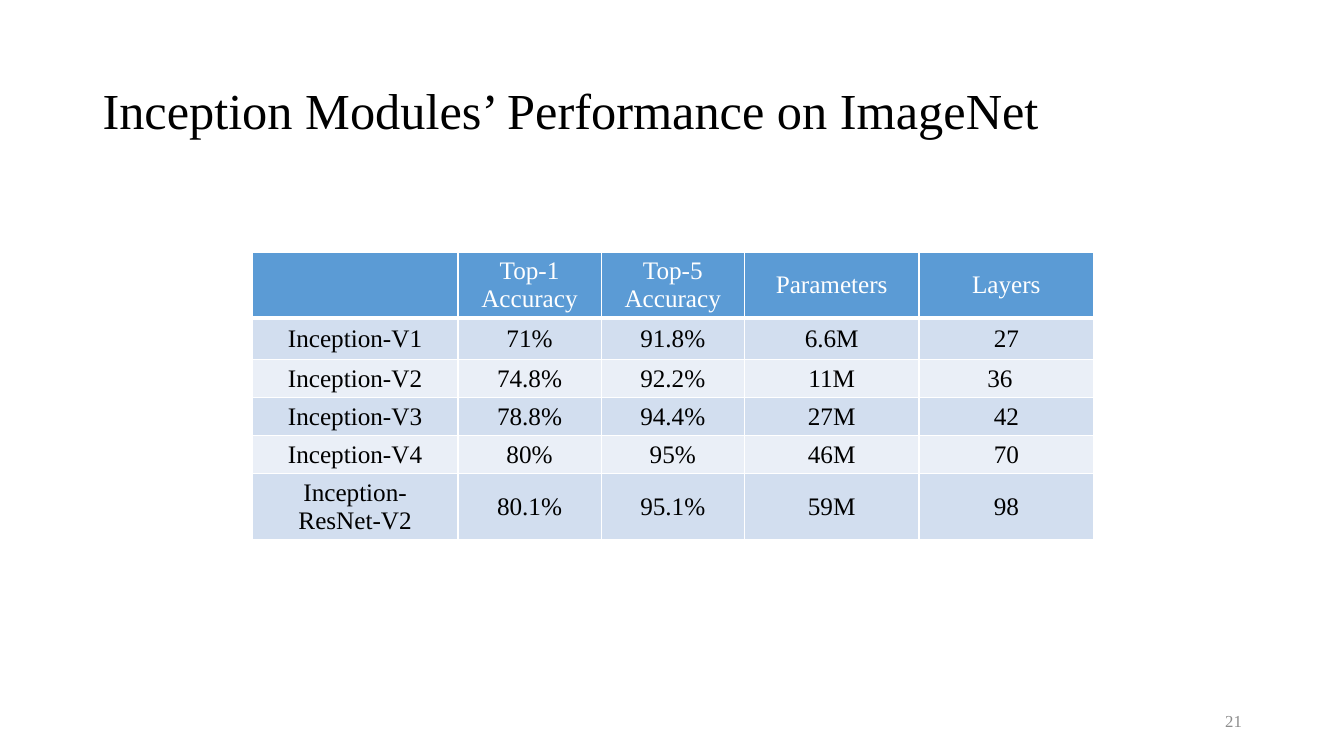
from dataclasses import dataclass

from lxml import etree
from pptx import Presentation
from pptx import util as u
from pptx.dml import color
from pptx.enum import text
from pptx.oxml import ns


@dataclass(frozen=True)
class Theme:
    font: str = "Times New Roman"
    ink: str = "000000"
    paper: str = "FFFFFF"
    muted: str = "8C8C8C"
    header: str = "5B9BD5"
    bands: tuple[str, str] = ("D2DEEF", "EAEFF7")
    title_size: int = 36
    table_size: int = 18
    number_size: int = 12
    thin: float = 1
    thick: float = 3


@dataclass(frozen=True)
class Row:
    values: tuple[str, ...]
    height: float
    last_margin: float = 0.25  # right margin of the last cell, in cm


THEME = Theme()
COLUMN_WIDTHS = (5.18, 3.61, 3.61, 4.4, 4.4)
ROWS = (
    Row(("", "Top-1 Accuracy", "Top-5 Accuracy", "Parameters", "Layers"), 1.65),
    Row(("Inception-V1", "71%", "91.8%", "6.6M", "27"), 1.04),
    Row(("Inception-V2", "74.8%", "92.2%", "11M", "36"), 0.96, last_margin=0.58),
    Row(("Inception-V3", "78.8%", "94.4%", "27M", "42"), 0.96),
    Row(("Inception-V4", "80%", "95%", "46M", "70"), 0.96),
    Row(("Inception-ResNet-V2", "80.1%", "95.1%", "59M", "98"), 1.65),
)


def write(frame, words: str, *, size: int, ink: str = THEME.ink,
          align=text.PP_ALIGN.LEFT, spacing: float = 1.0) -> None:
    """Put one formatted paragraph into a text frame."""
    frame.word_wrap = True
    para = frame.paragraphs[0]
    para.alignment = align
    para.line_spacing = spacing
    span = para.add_run()
    span.text = words
    span.font.name = THEME.font
    span.font.size = u.Pt(size)
    span.font.color.rgb = color.RGBColor.from_string(ink)


def add_borders(cell, *, top: float, bottom: float) -> None:
    """Draw white cell borders; widths are in points."""
    properties = cell._tc.get_or_add_tcPr()
    widths = {"lnL": THEME.thin, "lnR": THEME.thin, "lnT": top, "lnB": bottom}
    for side, width in widths.items():
        line = etree.SubElement(properties, ns.qn(f"a:{side}"), w=str(u.Pt(width)))
        fill = etree.SubElement(line, ns.qn("a:solidFill"))
        etree.SubElement(fill, ns.qn("a:srgbClr"), val=THEME.paper)


def add_title(page, words: str) -> None:
    box = page.shapes.title
    box.left, box.top, box.width, box.height = map(u.Cm, (2.33, 1.01, 29.21, 3.68))
    box.text_frame.vertical_anchor = text.MSO_ANCHOR.MIDDLE
    write(box.text_frame, words, size=THEME.title_size, spacing=0.9)


def add_results(page, rows: tuple[Row, ...]) -> None:
    frame = page.shapes.add_table(
        len(rows), len(COLUMN_WIDTHS), u.Cm(6.36), u.Cm(6.36),
        u.Cm(sum(COLUMN_WIDTHS)), u.Cm(sum(row.height for row in rows)))
    table = frame.table
    for column, width in zip(table.columns, COLUMN_WIDTHS):
        column.width = u.Cm(width)
    for index, row in enumerate(rows):
        table.rows[index].height = u.Cm(row.height)
        is_header = index == 0
        fill = THEME.header if is_header else THEME.bands[(index - 1) % 2]
        for cell, value in zip(table.rows[index].cells, row.values):
            add_borders(cell, top=THEME.thick if index == 1 else THEME.thin,
                        bottom=THEME.thick if is_header else THEME.thin)
            cell.fill.solid()
            cell.fill.fore_color.rgb = color.RGBColor.from_string(fill)
            cell.vertical_anchor = text.MSO_ANCHOR.MIDDLE
            if value:
                write(cell.text_frame, value, size=THEME.table_size,
                      ink=THEME.paper if is_header else THEME.ink,
                      align=text.PP_ALIGN.CENTER)
        cell.margin_right = u.Cm(row.last_margin)


def add_page_number(page, number: str) -> None:
    box = page.shapes.add_textbox(*map(u.Cm, (23.93, 17.65, 7.62, 1.01)))
    box.text_frame.vertical_anchor = text.MSO_ANCHOR.MIDDLE
    write(box.text_frame, number, size=THEME.number_size, ink=THEME.muted,
          align=text.PP_ALIGN.RIGHT)


def main() -> None:
    deck = Presentation()
    deck.slide_width, deck.slide_height = u.Cm(33.87), u.Cm(19.05)
    page = deck.slides.add_slide(deck.slide_layouts[5])  # title only

    # Heading, results table and page number
    add_title(page, "Inception Modules’ Performance on ImageNet")
    add_results(page, ROWS)
    add_page_number(page, "21")
    deck.save("out.pptx")


if __name__ == "__main__":
    main()
